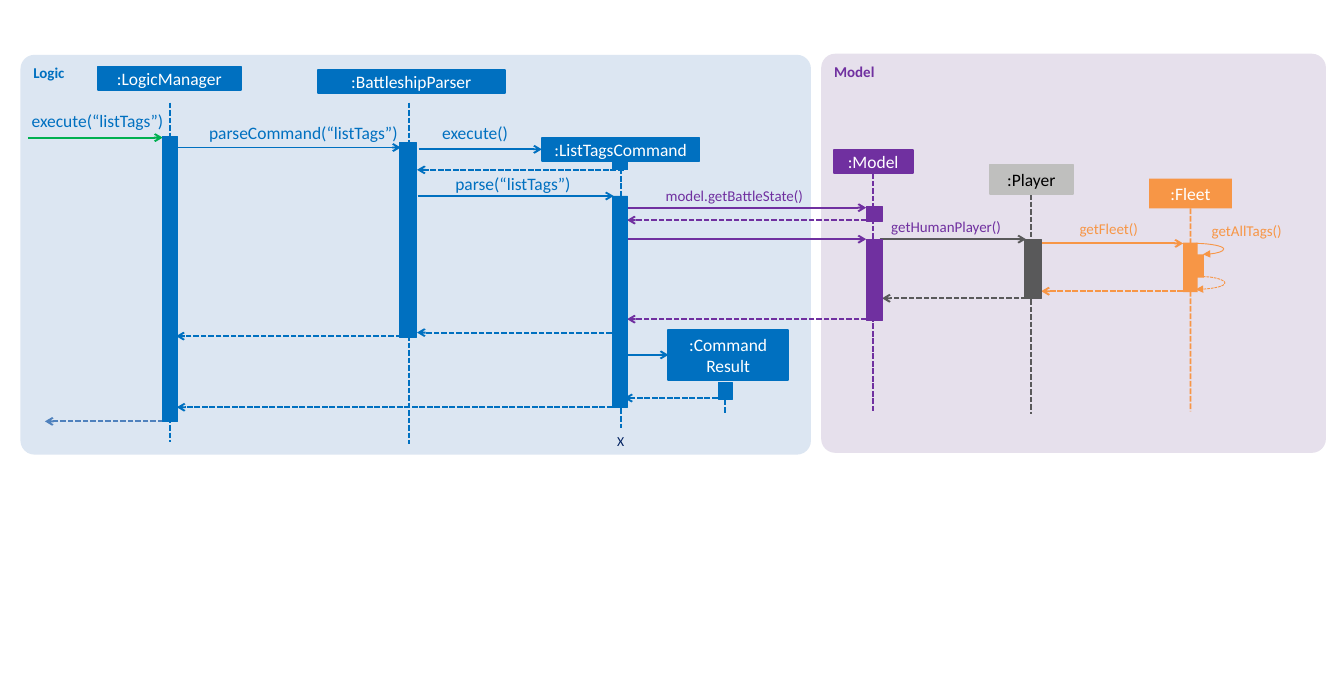
"""Draws the sequence diagram of the listTags command."""
from lxml import etree
from pptx import Presentation
from pptx.dml.color import RGBColor
from pptx.enum.dml import MSO_LINE
from pptx.enum.shapes import MSO_CONNECTOR, MSO_SHAPE
from pptx.enum.text import MSO_ANCHOR, PP_ALIGN
from pptx.oxml.ns import qn
from pptx.util import Cm, Pt

RECT, ROUND = MSO_SHAPE.RECTANGLE, MSO_SHAPE.ROUNDED_RECTANGLE
STRAIGHT, CURVE = MSO_CONNECTOR.STRAIGHT, MSO_CONNECTOR.CURVE
DASH = MSO_LINE.SQUARE_DOT
TOP, MIDDLE = MSO_ANCHOR.TOP, MSO_ANCHOR.MIDDLE
LEFT, CENTER, RIGHT = PP_ALIGN.LEFT, PP_ALIGN.CENTER, PP_ALIGN.RIGHT
BLUE, PURPLE, GRAY, ORANGE = "0070C0", "7030A0", "59595A", "F79646"
WHITE, BLACK, GREEN, SILVER = "FFFFFF", "000000", "00B050", "BFBFBE"

deck = Presentation()
deck.slide_width, deck.slide_height = Cm(38), Cm(19.05)
slide = deck.slides.add_slide(deck.slide_layouts[6])
shapes = slide.shapes


def block(kind, spot, fill, width):
    shape = shapes.add_shape(kind, *[Cm(n) for n in spot])
    shape.shadow.inherit = False
    shape.fill.solid()
    shape.fill.fore_color.rgb = RGBColor.from_string(fill)
    if width:
        shape.line.color.rgb = RGBColor.from_string(fill)
        shape.line.width = Pt(width)
    else:
        shape.line.fill.background()
    return shape


def link(kind, ends, hue, width, dash, tip):
    line = shapes.add_connector(kind, *[Cm(n) for n in ends])
    line.line.color.rgb = RGBColor.from_string(hue)
    line.line.width = Pt(width)
    if dash:
        line.line.dash_style = DASH
    if tip:
        stroke = line.line._get_or_add_ln()
        etree.SubElement(stroke, qn("a:tailEnd"), type=tip)
    etree.SubElement(line._element.spPr, qn("a:effectLst"))
    return line


texts = []

for name, spot, fill, hue in [
    ("Model", (23.22, 1.52, 14.27, 11.28), "E6E0EC", PURPLE),
    ("Logic", (0.58, 1.55, 22.35, 11.3), "DCE6F2", BLUE),
]:
    panel = block(ROUND, spot, fill, 0)
    panel.adjustments[0] = 0.035
    texts.append((panel, name, 12, hue, LEFT, TOP, True))

lives = {}
for name, x, top, end, hue in [
    (":LogicManager", 4.8, 2.9, 12.5, BLUE),
    (":BattleshipParser", 11.56, 2.9, 12.55, BLUE),
    (":ListTagsCommand", 17.55, 4.55, 12.09, BLUE),
    (":Model", 24.69, 4.9, 11.63, PURPLE),
    (":Player", 29.16, 5.49, 11.71, GRAY),
    (":Fleet", 33.66, 5.89, 11.63, ORANGE),
    (":Command\nResult", 20.5, 10.87, 11.68, BLUE),
]:
    lives[name] = link(STRAIGHT, (x, top, x, end), hue, 1.5, True, None)

calls = {}
for start, end, y, hue in [
    (0.79, 4.6, 3.89, GREEN),
    (4.95, 11.33, 4.17, BLUE),
    (11.84, 15.32, 4.22, BLUE),
    (11.81, 17.35, 5.54, BLUE),
    (17.5, 24.49, 5.87, PURPLE),
    (17.5, 24.49, 6.76, PURPLE),
    (24.87, 29.01, 6.76, GRAY),
    (29.34, 33.45, 6.88, ORANGE),
    (17.5, 18.9, 10.03, BLUE),
]:
    calls[y, start] = link(STRAIGHT, (start, y, end, y), hue, 1.5, False, "arrow")

for start, end, y, hue in [
    (17.63, 11.79, 4.8, BLUE),
    (24.51, 17.73, 6.22, PURPLE),
    (33.45, 29.44, 8.23, ORANGE),
    (29.24, 24.94, 8.43, GRAY),
    (24.51, 17.73, 9.02, PURPLE),
    (17.3, 11.79, 9.4, BLUE),
    (11.35, 4.98, 9.5, BLUE),
    (20.5, 17.65, 11.25, BLUE),
    (17.53, 5, 11.51, BLUE),
    (4.83, 1.27, 11.91, "4F81BD"),
]:
    link(STRAIGHT, (start, y, end, y), hue, 1.5, True, "arrow")

for x, y, width, height, hue, edge in [
    (4.6, 3.86, 0.43, 8.05, BLUE, 0.75),
    (11.3, 4.04, 0.48, 5.49, BLUE, 0.75),
    (17.32, 4.5, 0.43, 0.3, BLUE, 0.75),
    (17.32, 5.54, 0.43, 5.97, BLUE, 0.75),
    (20.32, 10.8, 0.38, 0.48, BLUE, 0.75),
    (24.49, 5.84, 0.46, 0.41, PURPLE, 0.75),
    (24.49, 6.76, 0.46, 2.29, PURPLE, 0.75),
    (28.98, 6.78, 0.46, 1.65, GRAY, 0.75),
    (33.68, 7.19, 0.36, 0.66, ORANGE, 0),
    (33.45, 6.86, 0.41, 1.4, ORANGE, 0),
]:
    block(RECT, (x, y, width, height), hue, edge)

for ends, bend, dash in [
    ((33.81, 6.88, 34.01, 7.19), 395100, False),
    ((34.01, 7.82, 33.81, 8.18), -313400, True),
]:
    loop = link(CURVE, ends, ORANGE, 0.75, dash, "triangle")
    guides = loop._element.spPr.find(qn("a:prstGeom")).get_or_add_avLst()
    etree.SubElement(guides, qn("a:gd"), name="adj1", fmla=f"val {bend}")

heads = {}
for name, spot, fill, edge, hue in [
    (":LogicManager", (2.77, 1.88, 4.04, 0.66), BLUE, 1.5, WHITE),
    (":BattleshipParser", (8.99, 1.98, 5.28, 0.66), BLUE, 1.5, WHITE),
    (":ListTagsCommand", (15.32, 3.89, 4.46, 0.66), BLUE, 1.5, WHITE),
    (":Model", (23.57, 4.24, 2.24, 0.66), PURPLE, 1.5, WHITE),
    (":Player", (27.99, 4.65, 2.34, 0.84), SILVER, 1.5, BLACK),
    (":Fleet", (32.49, 5.05, 2.34, 0.84), ORANGE, 0, WHITE),
    (":Command\nResult", (18.9, 9.32, 3.38, 1.42), BLUE, 1.5, WHITE),
]:
    heads[name] = block(RECT, spot, fill, edge)
    texts.append((heads[name], name, 14, hue, CENTER, MIDDLE, False))

for name in (":ListTagsCommand", ":Model", ":Player", ":Fleet"):
    lives[name].begin_connect(heads[name], 2)
calls[4.22, 11.84].end_connect(heads[":ListTagsCommand"], 1)
calls[10.03, 17.5].end_connect(heads[":Command\nResult"], 1)

for text, x, y, width, size, hue, align in [
    ("execute(“listTags”)", 0.58, 3.12, 4.04, 14, BLUE, RIGHT),
    ("parseCommand(“listTags”)", 5.46, 3.45, 5.79, 14, BLUE, RIGHT),
    ("execute()", 10.54, 3.45, 5.79, 14, BLUE, CENTER),
    ("parse(“listTags”)", 11.61, 4.9, 5.79, 14, BLUE, CENTER),
    ("model.getBattleState()", 18.82, 5.26, 4.67, 12, PURPLE, LEFT),
    ("getHumanPlayer()", 25.2, 6.15, 3.58, 12, PURPLE, LEFT),
    ("getFleet()", 30.18, 6.22, 2.34, 12, ORANGE, CENTER),
    ("getAllTags()", 34.26, 6.25, 3.23, 12, ORANGE, LEFT),
    ("X", 17.45, 12.22, 0.4, 11, "002060", LEFT),
]:
    label = shapes.add_textbox(Cm(x), Cm(y), Cm(width), Pt(size * 1.2))
    frame = label.text_frame
    frame.margin_left = frame.margin_right = 0
    frame.margin_top = frame.margin_bottom = 0
    texts.append((label, text, size, hue, align, TOP, False))

for shape, text, size, hue, align, anchor, bold in texts:
    frame = shape.text_frame
    frame.text = text
    frame.word_wrap = True
    frame.vertical_anchor = anchor
    for line in frame.paragraphs:
        line.alignment = align
        for run in line.runs:
            run.font.name = "Calibri"
            run.font.size = Pt(size)
            run.font.bold = bold
            run.font.color.rgb = RGBColor.from_string(hue)

deck.save("out.pptx")
